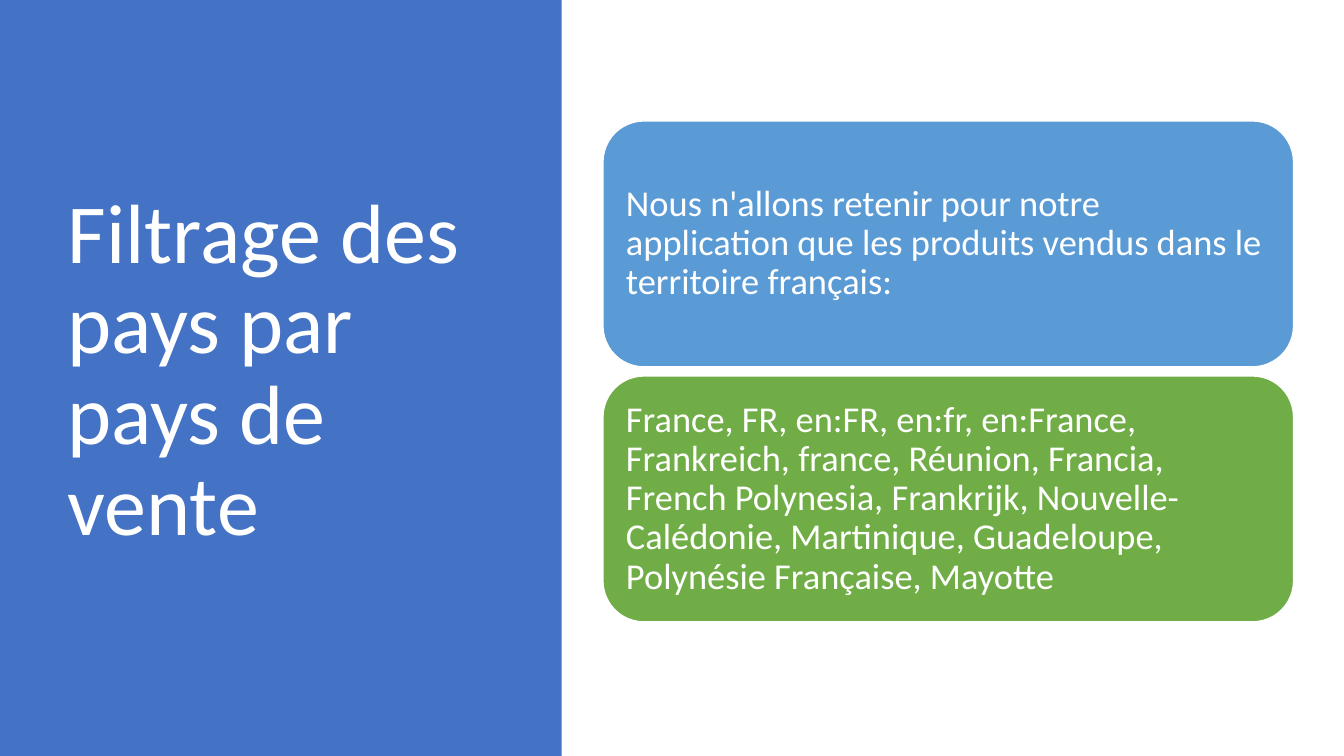
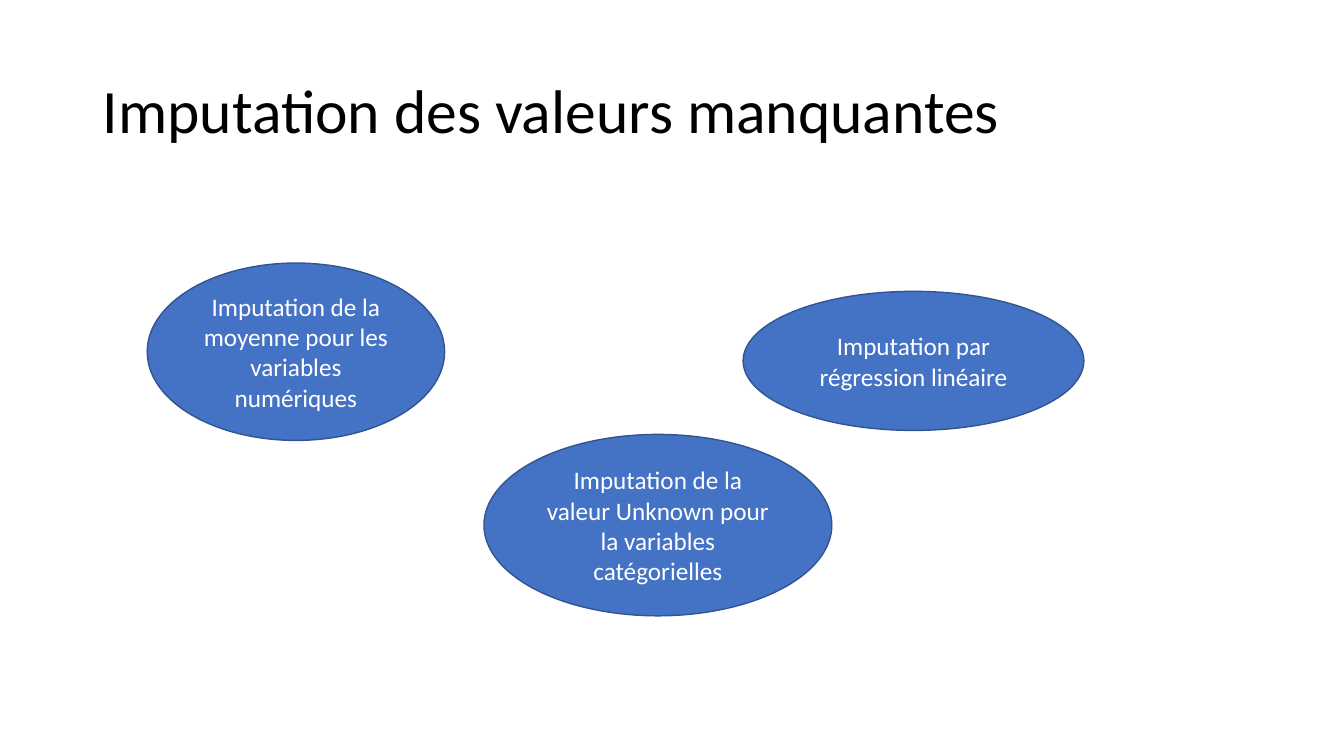
"""Build two slides on filtering sales countries and imputing missing values."""
from pptx import Presentation
from pptx.dml.color import RGBColor
from pptx.enum.shapes import MSO_SHAPE as Shape
from pptx.enum.text import MSO_ANCHOR as Anchor, MSO_AUTO_SIZE as AutoSize, PP_ALIGN as Align
from pptx.util import Inches, Pt

FONT = "Calibri"
WHITE = RGBColor(0xFF, 0xFF, 0xFF)
BLACK = RGBColor(0x00, 0x00, 0x00)
BLUE = RGBColor(0x44, 0x72, 0xC4)
DARK_BLUE = RGBColor(0x32, 0x54, 0x91)
LIGHT_BLUE = RGBColor(0x5B, 0x9B, 0xD5)
GREEN = RGBColor(0x70, 0xAD, 0x47)
TITLE_ONLY = 5

CARDS = [
    ("Nous n'allons retenir pour notre application que les produits vendus "
     "dans le territoire français:", LIGHT_BLUE),
    ("France, FR, en:FR, en:fr, en:France, Frankreich, france, Réunion, Francia, "
     "French Polynesia, Frankrijk, Nouvelle-Calédonie, Martinique, "
     "Guadeloupe, Polynésie Française, Mayotte", GREEN),
]
CARD_LEFT, CARD_TOP, CARD_WIDTH, CARD_HEIGHT, CARD_STEP = 5.98, 1.2, 6.85, 2.44, 2.53

METHODS = [
    ("Imputation de la moyenne pour les variables numériques", (1.46, 2.61, 2.95, 1.76)),
    ("Imputation de la valeur Unknown pour la variables catégorielles",
     (4.8, 4.31, 3.45, 1.8)),
    ("Imputation par régression linéaire", (7.37, 2.89, 3.38, 1.38)),
]


def write_text(box, text, *, size, color=WHITE, align=Align.LEFT, spacing=1.0, inset=None):
    """Write one formatted paragraph, vertically centred, into a box."""
    frame = box.text_frame
    frame.word_wrap = True
    frame.auto_size = AutoSize.NONE
    frame.vertical_anchor = Anchor.MIDDLE
    if inset is not None:
        frame.margin_left = frame.margin_right = Inches(inset)
        frame.margin_top = frame.margin_bottom = Inches(inset)
    para = frame.paragraphs[0]
    para.alignment = align
    para.line_spacing = spacing
    span = para.add_run()
    span.text = text
    span.font.name = FONT
    span.font.size = Pt(size)
    span.font.color.rgb = color


def add_page(deck, title, place, *, size, color):
    """Add a page with its title placed and formatted."""
    page = deck.slides.add_slide(deck.slide_layouts[TITLE_ONLY])
    box = page.shapes.title
    box.left, box.top, box.width, box.height = map(Inches, place)
    write_text(box, title, size=size, color=color, spacing=0.9)
    return page


def add_block(page, kind, place, fill, line=None):
    """Add a flat filled shape with an optional outline."""
    block = page.shapes.add_shape(kind, *map(Inches, place))
    block.shadow.inherit = False
    block.fill.solid()
    block.fill.fore_color.rgb = fill
    if line is None:
        block.line.fill.background()
    else:
        block.line.color.rgb = line
        block.line.width = Pt(1)
    return block


def add_country_page(deck):
    """Add the page with a title panel and two stacked cards."""
    page = add_page(deck, "Filtrage des pays par pays de vente",
                    (0.57, 0.68, 4.16, 6.02), size=60, color=WHITE)
    panel = add_block(page, Shape.RECTANGLE, (0, 0, 5.57, 7.5), BLUE)
    page.shapes.title.element.addprevious(panel.element)
    for index, (text, fill) in enumerate(CARDS):
        place = (CARD_LEFT, CARD_TOP + index * CARD_STEP, CARD_WIDTH, CARD_HEIGHT)
        card = add_block(page, Shape.ROUNDED_RECTANGLE, place, fill, WHITE)
        write_text(card, text, size=26, spacing=0.9, inset=0.11)


def add_imputation_page(deck):
    """Add the page with one ellipse per imputation method."""
    page = add_page(deck, "Imputation des valeurs manquantes",
                    (0.92, 0.4, 11.5, 1.45), size=44, color=BLACK)
    for text, place in METHODS:
        ellipse = add_block(page, Shape.OVAL, place, BLUE, DARK_BLUE)
        write_text(ellipse, text, size=18, align=Align.CENTER)


def main():
    """Build and save the deck."""
    deck = Presentation()
    deck.slide_width, deck.slide_height = Inches(13.33), Inches(7.5)
    add_country_page(deck)
    add_imputation_page(deck)
    deck.save("out.pptx")


if __name__ == "__main__":
    main()
